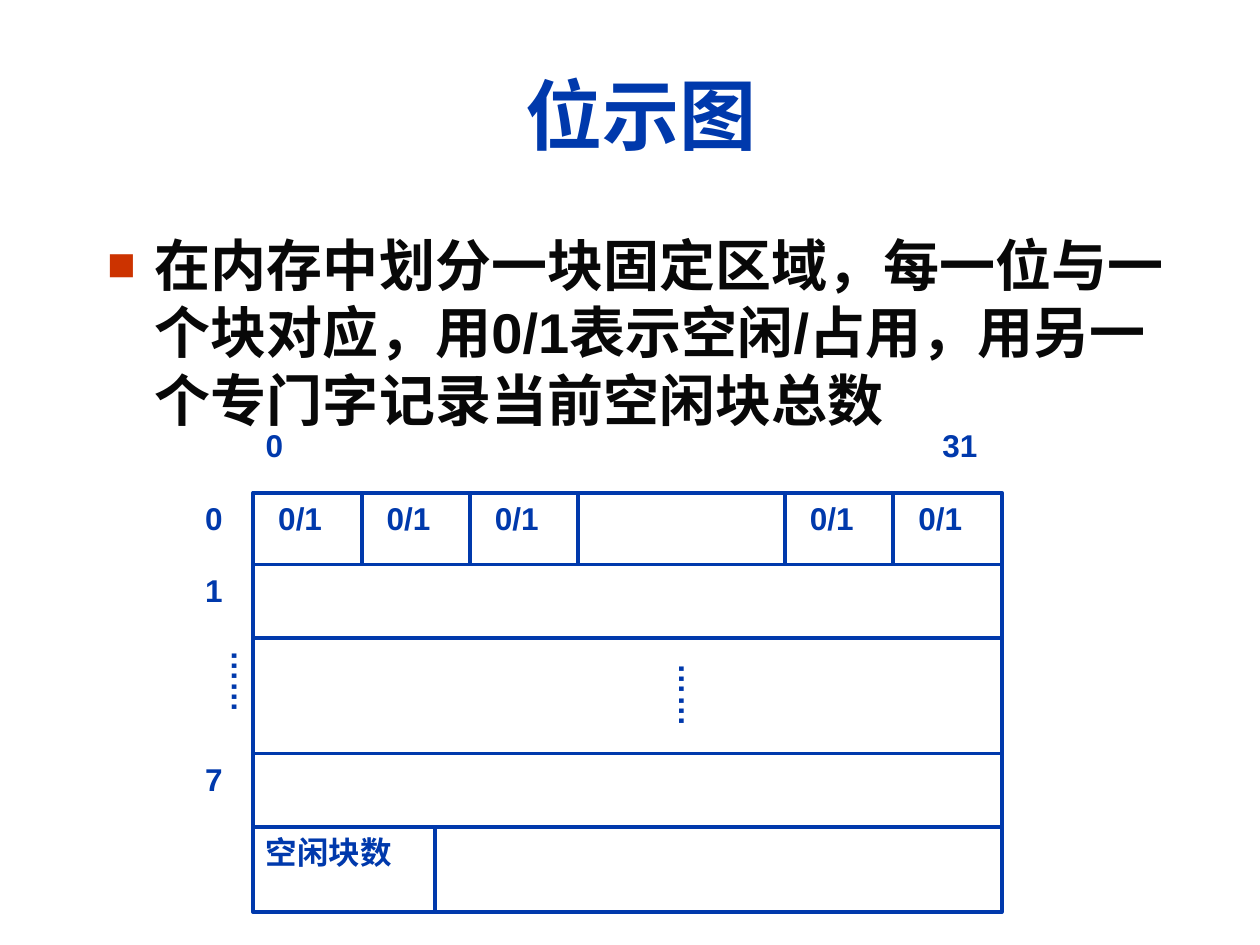
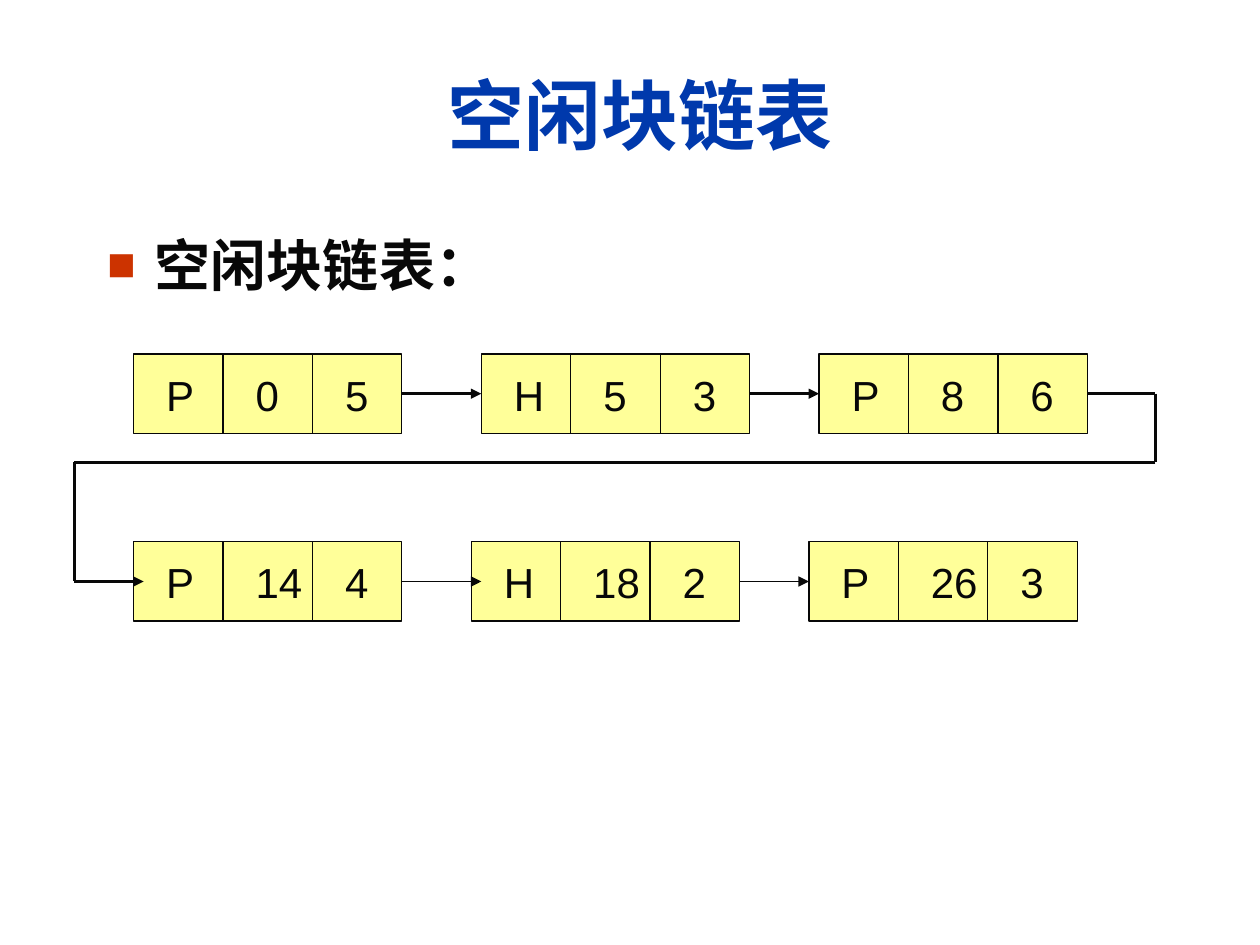
import dataclasses
import itertools

import lxml.etree
import pptx
import pptx.dml.color
import pptx.enum.shapes
import pptx.enum.text
import pptx.oxml.ns
import pptx.util

Inches = pptx.util.Inches
qn = pptx.oxml.ns.qn


@dataclasses.dataclass(frozen=True)
class Theme:
    font: str = "Arial"
    blue: str = "0039AC"
    black: str = "080808"
    bullet: str = "CC3300"
    yellow: str = "FFFF99"
    white: str = "FFFFFF"
    title_size: int = 44
    body_size: int = 32
    record_size: int = 24
    label_size: int = 18
    thick: float = 2.25
    medium: float = 1.75
    thin: float = 0.75


THEME = Theme()
EM_WIDTHS = {"P": 0.67, "H": 0.72, "/": 0.28}
RIGHT_SIDE, LEFT_SIDE = 3, 1


def rgb(value):
    return pptx.dml.color.RGBColor.from_string(value)


def text_width(text, size):
    ems = sum(EM_WIDTHS.get(sign, 0.56 if sign.isascii() else 1) for sign in text)
    return 0.2 + ems * size / 72


def write(frame, text, *, size, color, bold=False, align=None):
    para = frame.paragraphs[0]
    para.space_before = pptx.util.Pt(0)
    para.alignment = align
    span = para.add_run()
    span.text = text
    span.font.name = THEME.font
    span.font.size = pptx.util.Pt(size)
    span.font.bold = bold
    span.font.color.rgb = rgb(color)
    return para


def place(shape, left, top, width, height):
    shape.left, shape.top = Inches(left), Inches(top)
    shape.width, shape.height = Inches(width), Inches(height)


def add_bullet(para):
    props = para._p.get_or_add_pPr()
    props.set("marL", str(Inches(0.38)))
    props.set("indent", str(-Inches(0.38)))
    color = lxml.etree.SubElement(props, qn("a:buClr"))
    lxml.etree.SubElement(color, qn("a:srgbClr"), val=THEME.bullet)
    lxml.etree.SubElement(props, qn("a:buSzPct"), val="85000")
    lxml.etree.SubElement(props, qn("a:buFont"), typeface=THEME.font)
    lxml.etree.SubElement(props, qn("a:buChar"), char="■")


def add_page(deck, title, point):
    page = deck.slides.add_slide(deck.slide_layouts[1])
    heading, body = page.placeholders
    place(heading, 0.83, 0.28, 8.51, 1.25)
    place(body, 0.75, 1.78, 8.66, 4.92)
    for box in (heading, body):
        box.text_frame.auto_size = pptx.enum.text.MSO_AUTO_SIZE.NONE
    heading.text_frame.vertical_anchor = pptx.enum.text.MSO_ANCHOR.MIDDLE
    write(heading.text_frame, title, size=THEME.title_size, color=THEME.blue,
          bold=True, align=pptx.enum.text.PP_ALIGN.CENTER)
    add_bullet(write(body.text_frame, point, size=THEME.body_size,
                     color=THEME.black, bold=True))
    return page


def add_box(shapes, left, top, width, height, *, fill, line, weight):
    box = shapes.add_shape(pptx.enum.shapes.MSO_SHAPE.RECTANGLE, Inches(left),
                           Inches(top), Inches(width), Inches(height))
    box.shadow.inherit = False
    box.fill.solid()
    box.fill.fore_color.rgb = rgb(fill)
    box.line.color.rgb = rgb(line)
    box.line.width = pptx.util.Pt(weight)
    return box


def add_line(shapes, start, end, *, color, weight, arrow=False):
    line = shapes.add_connector(pptx.enum.shapes.MSO_CONNECTOR.STRAIGHT, *start, *end)
    line.line.color.rgb = rgb(color)
    line.line.width = pptx.util.Pt(weight)
    props = line.element.spPr
    if arrow:
        lxml.etree.SubElement(props.find(qn("a:ln")), qn("a:tailEnd"), type="triangle")
    lxml.etree.SubElement(props, qn("a:effectLst"))
    return line


def add_rule(shapes, start, end, **style):
    return add_line(shapes, map(Inches, start), map(Inches, end), **style)


def add_label(shapes, text, left, top, *, size, vertical=False, **style):
    width, height = (0.5, 0.6) if vertical else (text_width(text, size), size / 60 + 0.1)
    box = shapes.add_textbox(Inches(left), Inches(top), Inches(width), Inches(height))
    frame = box.text_frame
    frame.word_wrap = False
    frame.auto_size = pptx.enum.text.MSO_AUTO_SIZE.SHAPE_TO_FIT_TEXT
    across, down = (0.05, 0.1) if vertical else (0.1, 0.05)
    frame.margin_left = frame.margin_right = Inches(across)
    frame.margin_top = frame.margin_bottom = Inches(down)
    if vertical:
        frame._txBody.bodyPr.set("vert", "eaVert")
    write(frame, text, size=size, **style)


def add_bitmap(shapes):
    left, top, right, bottom = 2.01, 3.91, 7.95, 7.24
    row_tops = [4.48, 5.06, 5.98, 6.56]
    cell = 0.86
    ruling = {"color": THEME.blue, "weight": THEME.thick}
    lettering = {"size": THEME.label_size, "color": THEME.blue, "bold": True}

    add_box(shapes, left, top, right - left, bottom - top,
            fill=THEME.white, line=THEME.blue, weight=THEME.thick)
    for y in row_tops:
        add_rule(shapes, (left, y), (right, y), **ruling)
    dividers = [left + cell * n for n in (1, 2, 3)] + [right - cell * n for n in (2, 1)]
    for x in dividers:
        add_rule(shapes, (x, top), (x, row_tops[0]), **ruling)
    add_rule(shapes, (3.45, row_tops[-1]), (3.45, bottom), **ruling)

    for x in [left, *dividers[:2], *dividers[3:]]:
        add_label(shapes, "0/1", x + 0.1, top, **lettering)
    for text, x in (("0", left), ("31", 7.38)):
        add_label(shapes, text, x, 3.33, **lettering)
    for text, y in (("0", top), ("1", row_tops[0]), ("7", row_tops[2])):
        add_label(shapes, text, 1.53, y, **lettering)
    add_label(shapes, "空闲块数", left, row_tops[-1], **lettering)
    for x, y in ((1.64, 5.06), (5.19, 5.17)):
        add_label(shapes, "……", x, y, vertical=True, **lettering)


def add_record(page, left, top, values):
    cell, height = 0.71, 0.63
    shapes = page.shapes.add_group_shape().shapes
    box = add_box(shapes, left, top, cell * len(values), height,
                  fill=THEME.yellow, line=THEME.black, weight=THEME.thin)
    for column, value in enumerate(values):
        x = left + cell * column
        if column:
            add_rule(shapes, (x, top), (x, top + height),
                     color=THEME.black, weight=THEME.thin)
        add_label(shapes, value, x + 0.16, top + 0.07,
                  size=THEME.record_size, color=THEME.black)
    return box


def side_point(box, side):
    x = box.left if side == LEFT_SIDE else box.left + box.width
    return x, box.top + box.height // 2


def inside_point(box):
    x, y = side_point(box, LEFT_SIDE)
    return x + Inches(0.08), y


def add_link(shapes, source, target, *, weight, overlap=False):
    end = inside_point(target) if overlap else side_point(target, LEFT_SIDE)
    line = add_line(shapes, side_point(source, RIGHT_SIDE), end,
                    color=THEME.black, weight=weight, arrow=True)
    line.begin_connect(source, RIGHT_SIDE)
    if not overlap:
        line.end_connect(target, LEFT_SIDE)


def add_return_link(shapes, source, target):
    start, end = side_point(source, RIGHT_SIDE), inside_point(target)
    outer_right, outer_left, lane = Inches(9.17), Inches(0.59), Inches(3.67)
    corners = [start, (outer_right, start[1]), (outer_right, lane),
               (outer_left, lane), (outer_left, end[1]), end]
    lines = [add_line(shapes, here, there, color=THEME.black,
                      weight=THEME.medium, arrow=there == end)
             for here, there in itertools.pairwise(corners)]
    lines[0].begin_connect(source, RIGHT_SIDE)


def add_free_list(page):
    upper = [add_record(page, left, 2.81, values) for left, values in
             ((1.06, "P05"), (3.82, "H53"), (6.5, "P86"))]
    lower = [add_record(page, left, 4.3, values) for left, values in
             ((1.06, ("P", "14", "4")), (3.74, ("H", "18", "2")),
              (6.42, ("P", "26", "3")))]
    for source, target in itertools.pairwise(upper):
        add_link(page.shapes, source, target, weight=THEME.medium)
    add_return_link(page.shapes, upper[-1], lower[0])
    add_link(page.shapes, lower[0], lower[1], weight=THEME.thin, overlap=True)
    add_link(page.shapes, lower[1], lower[2], weight=THEME.thin)


def main():
    deck = pptx.Presentation()
    deck.slide_width, deck.slide_height = Inches(10), Inches(7.5)
    bitmap_page = add_page(
        deck, "位示图",
        "在内存中划分一块固定区域，每一位与一个块对应，用0/1表示空闲/占用，"
        "用另一个专门字记录当前空闲块总数")
    add_bitmap(bitmap_page.shapes)
    list_page = add_page(deck, "空闲块链表", "空闲块链表：")
    add_free_list(list_page)
    deck.save("out.pptx")


if __name__ == "__main__":
    main()
